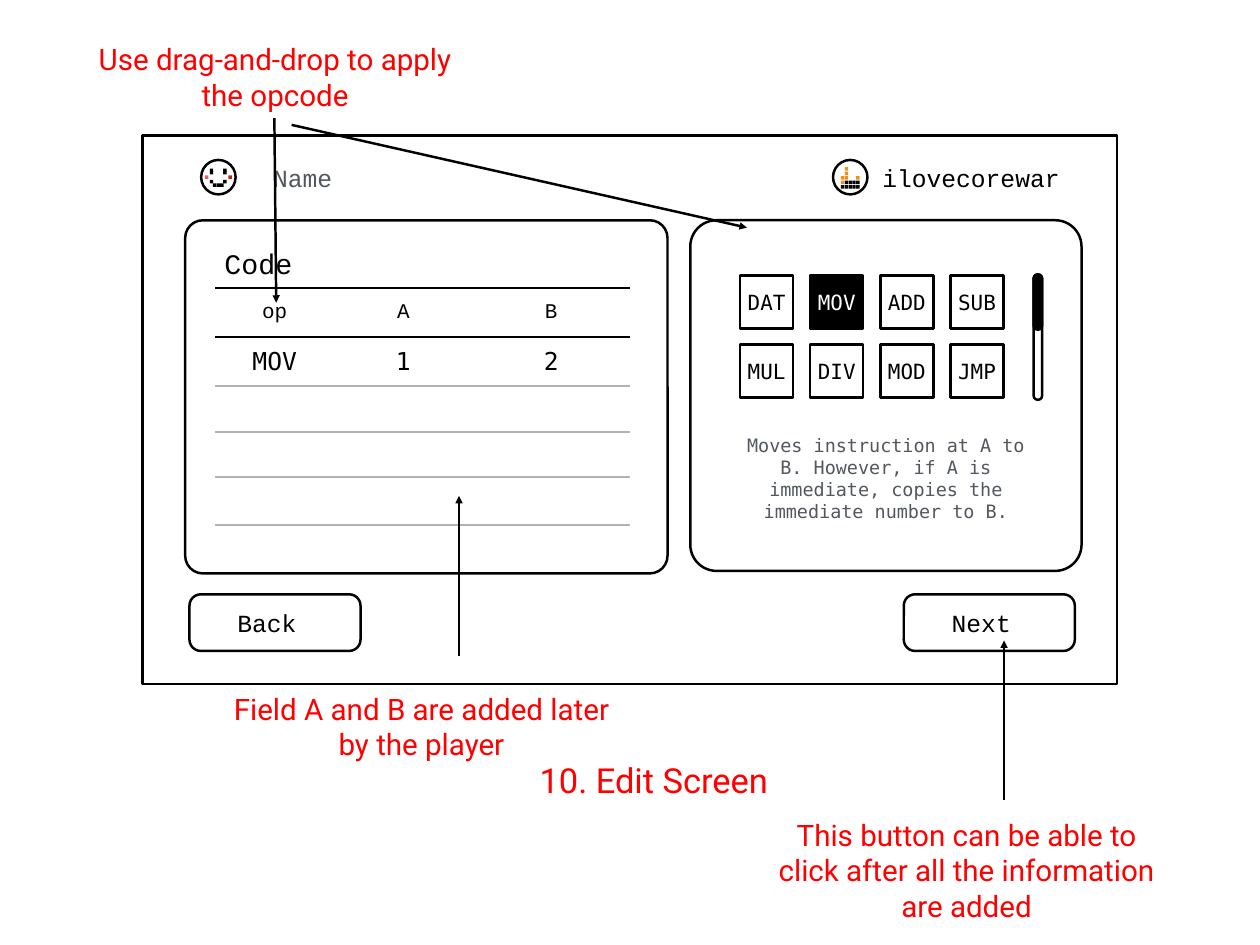
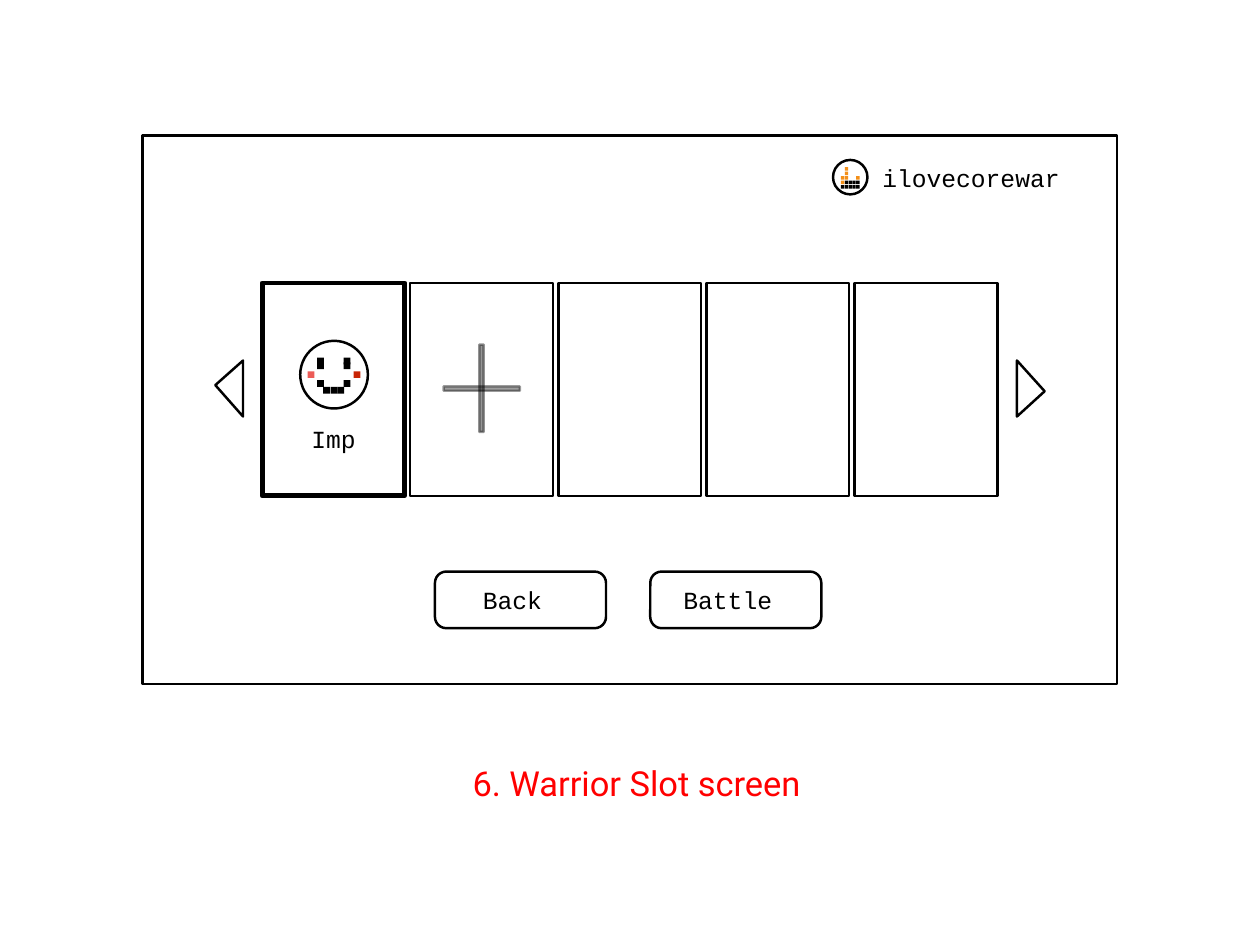
from lxml import etree
from pptx import Presentation
from pptx.dml.color import RGBColor
from pptx.enum.shapes import MSO_CONNECTOR, MSO_SHAPE
from pptx.enum.text import MSO_ANCHOR, MSO_AUTO_SIZE, PP_ALIGN
from pptx.oxml.ns import qn
from pptx.util import Pt

RECT, ROUND, OVAL = MSO_SHAPE.RECTANGLE, MSO_SHAPE.ROUNDED_RECTANGLE, MSO_SHAPE.OVAL
LEFT, CENTER = PP_ALIGN.LEFT, PP_ALIGN.CENTER
MIDDLE = MSO_ANCHOR.MIDDLE
STRAIGHT = MSO_CONNECTOR.STRAIGHT
NO_FIT = MSO_AUTO_SIZE.NONE


class Theme:
    black, white, grey, rule = "000000", "FFFFFF", "53585F", "B2B2B2"
    red, orange, cheek_left, cheek_right = "FF0000", "F38F18", "EC5C57", "C82506"
    note_font, ui_font, code_font = "Roboto", "Courier New", "DejaVu Sans Mono"
    title, note, heading, body, small, hint = 28, 24, 23, 20, 17, 15
    line, bold_line, inset = 2, 4, 4.5


def paint(sp, fill=None, width=Theme.line):
    """Give a shape its fill and black outline (no outline when width is 0)."""
    sp.shadow.inherit = False
    if fill:
        sp.fill.solid()
        sp.fill.fore_color.rgb = RGBColor.from_string(fill)
    else:
        sp.fill.background()
    if width:
        sp.line.color.rgb = RGBColor.from_string(Theme.black)
        sp.line.width = Pt(width)
    else:
        sp.line.fill.background()
    return sp


def write(sp, text, size, font=Theme.ui_font, color=Theme.black, align=CENTER,
          extra_right=0):
    """Put one run of text, vertically centred, in a shape or placeholder."""
    tf = sp.text_frame
    tf.word_wrap, tf.auto_size, tf.vertical_anchor = True, NO_FIT, MIDDLE
    tf.margin_left = tf.margin_top = tf.margin_bottom = Pt(Theme.inset)
    tf.margin_right = Pt(Theme.inset + extra_right)
    p = tf.paragraphs[0]
    p.alignment = align
    r = p.add_run()
    r.text = text
    r.font.size, r.font.name = Pt(size), font
    r.font.color.rgb = RGBColor.from_string(color)


prs = Presentation()
prs.slide_width, prs.slide_height = Pt(1024), Pt(768)
title_only = prs.slide_layouts[5]

# Shared parts: title, screen frame, user name and buttons
screens = [
    ("10. Edit Screen", (434, 613, 202, 42),
     [("Back", 154, 483), ("Next", 734.5, 483)]),
    ("6. Warrior Slot screen", (379.5, 615.5, 281, 42),
     [("Back", 353.5, 464.5), ("Battle", 528.5, 464.5)]),
]
for title, place, buttons in screens:
    s = prs.slides.add_slide(title_only)
    sp = s.shapes.title
    sp.left, sp.top, sp.width, sp.height = map(Pt, place)
    write(sp, title, Theme.title, Theme.note_font, Theme.red, LEFT)
    paint(s.shapes.add_shape(RECT, Pt(116), Pt(110), Pt(792), Pt(446)))
    write(s.shapes.add_textbox(Pt(712.5), Pt(130), Pt(182), Pt(28)),
          "ilovecorewar", Theme.body, align=LEFT)
    for text, x, y in buttons:
        sp = paint(s.shapes.add_shape(ROUND, Pt(x), Pt(y), Pt(139), Pt(46)))
        sp.adjustments[0] = 0.2
        write(sp, text, Theme.body, extra_right=13)
edit, slots = prs.slides

# Edit screen: panels and scroll bar
for x, y, w, h, radius, fill in [
    (150.5, 179, 392, 287, 0.05, None),
    (561, 179, 318, 285, 0.075, None),
    (840, 223, 7, 102, 0.5, None),
    (840, 223, 7, 45, 0.5, Theme.black),
]:
    sp = paint(edit.shapes.add_shape(ROUND, Pt(x), Pt(y), Pt(w), Pt(h)), fill)
    sp.adjustments[0] = radius

# Edit screen: code table, ruled across only
code = [("op", "A", "B"), ("MOV", "1", "2")]
col_widths, row_heights = (96.5, 112.5, 128), (40, 40, 37, 37, 39)
tbl = edit.shapes.add_table(len(row_heights), len(col_widths), Pt(175), Pt(234),
                            Pt(sum(col_widths)), Pt(sum(row_heights))).table
tbl.first_row = tbl.horz_banding = False
for c, width in enumerate(col_widths):
    tbl.columns[c].width = Pt(width)
for i, height in enumerate(row_heights):
    tbl.rows[i].height = Pt(height)
    top = Theme.black if i < 2 else Theme.rule
    bottom = Theme.black if i < 1 else Theme.rule
    for c in range(len(col_widths)):
        cell = tbl.cell(i, c)
        cell.fill.background()
        cell.vertical_anchor = MIDDLE
        if i < len(code):
            p = cell.text_frame.paragraphs[0]
            p.alignment = CENTER
            r = p.add_run()
            r.text = code[i][c]
            r.font.size = Pt(Theme.body if i else Theme.small)
            r.font.name = Theme.code_font if i else Theme.ui_font
            r.font.color.rgb = RGBColor.from_string(Theme.black)
        borders = [("a:lnL", None), ("a:lnR", None), ("a:lnT", top), ("a:lnB", bottom)]
        for n, (tag, color) in enumerate(borders):
            ln = etree.Element(qn(tag), w=str(Pt(Theme.line)))
            if color:
                fill = etree.SubElement(ln, qn("a:solidFill"))
                etree.SubElement(fill, qn("a:srgbClr"), val=color)
            else:
                etree.SubElement(ln, qn("a:noFill"))
            cell._tc.get_or_add_tcPr().insert(n, ln)

# Edit screen: opcode tiles, the chosen one inverted
opcodes = ["DAT", "MOV", "ADD", "SUB", "MUL", "DIV", "MOD", "JMP"]
for i, opcode in enumerate(opcodes):
    row, col = divmod(i, 4)
    chosen = opcode == "MOV"
    sp = paint(edit.shapes.add_shape(RECT, Pt(601.5 + 57 * col), Pt(224 + 56 * row),
                                     Pt(43), Pt(43)),
               Theme.black if chosen else None)
    write(sp, opcode, Theme.small, Theme.code_font,
          Theme.white if chosen else Theme.black)

# Labels and red notes
notes = (Theme.note, Theme.note_font, Theme.red)
for s, text, x, y, w, h, style in [
    (edit, "Code", 114, 192, 192, 43, (Theme.heading,)),
    (edit, "Name", 150, 122.5, 192, 43, (Theme.body, Theme.ui_font, Theme.grey)),
    (edit, "Moves instruction at A to B. However, if A is immediate, "
           "copies the immediate number to B.",
     593.5, 348.5, 253, 80, (Theme.hint, Theme.code_font, Theme.grey)),
    (edit, "Use drag-and-drop to apply the opcode", 64, 29.5, 319, 66, notes),
    (edit, "Field A and B are added later by the player", 183, 557, 319, 66, notes),
    (edit, "This button can be able to click after all the information are added",
     626, 659.5, 319, 95, notes),
]:
    write(s.shapes.add_textbox(Pt(x), Pt(y), Pt(w), Pt(h)), text, *style)

# Edit screen: arrows from the notes
for ends in [(223, 96, 224.5, 246), (237, 101.5, 607, 185),
             (373, 533, 373, 403), (816, 650, 816, 520.5)]:
    arrow = edit.shapes.add_connector(STRAIGHT, *map(Pt, ends))
    arrow.line.color.rgb = RGBColor.from_string(Theme.black)
    arrow.line.width = Pt(Theme.line)
    spPr = arrow._element.spPr
    etree.SubElement(spPr.find(qn("a:ln")), qn("a:tailEnd"), type="triangle")
    etree.SubElement(spPr, qn("a:effectLst"))

# Slot screen: five slots, the first one selected
for i in range(5):
    paint(slots.shapes.add_shape(RECT, Pt(213 + 120.4 * i), Pt(230), Pt(116), Pt(173)),
          Theme.white, Theme.line if i else Theme.bold_line)
write(slots.shapes.add_textbox(Pt(175), Pt(335), Pt(192), Pt(43)), "Imp", Theme.body)

# Slot screen: translucent plus sign
for x, y, w, h, opacity in [(360.5, 314, 62, 3.6, 38), (389.5, 280, 3.6, 71, 41)]:
    sp = paint(slots.shapes.add_shape(RECT, Pt(x), Pt(y), Pt(w), Pt(h)), Theme.black)
    for clr in sp._element.spPr.iter(qn("a:srgbClr")):
        etree.SubElement(clr, qn("a:alpha"), val=str(opacity * 1000))

# Slot screen: previous and next triangles
for start, *others in [
    [(197.5, 338.5), (175, 313), (197.5, 293)],
    [(826.5, 293), (849, 318), (826.5, 338.5)],
]:
    outline = slots.shapes.build_freeform(*map(Pt, start))
    outline.add_line_segments([(Pt(x), Pt(y)) for x, y in others], close=True)
    paint(outline.convert_to_shape(), Theme.white)

# Avatars: pixel positions are fractions of the circle's diameter
face = [(x, y, Theme.black) for x in (0.25, 0.64) for y in (0.25, 0.32, 0.58)]
face += [(x, 0.68, Theme.black) for x in (0.34, 0.45, 0.55)]
face += [(0.11, 0.45, Theme.cheek_left), (0.79, 0.45, Theme.cheek_right)]
inks = {"o": Theme.orange, "x": Theme.black}
boat_rows = [".o...", ".o...", "oo..o", "oxxxx", "xxxxx"]
boat = [(0.23 + 0.11 * c, 0.21 + 0.13 * i, inks[mark])
        for i, row in enumerate(boat_rows)
        for c, mark in enumerate(row) if mark in inks]
for s, left, top, size, pixels in [
    (edit, 677, 130, 28, boat),
    (edit, 163.5, 130, 28, face),
    (slots, 677, 130, 28, boat),
    (slots, 244, 277, 55, face),
]:
    paint(s.shapes.add_shape(OVAL, Pt(left), Pt(top), Pt(size), Pt(size)), Theme.white)
    dot = Pt(0.1 * size)
    for x, y, color in pixels:
        paint(s.shapes.add_shape(RECT, Pt(left + x * size), Pt(top + y * size), dot, dot),
              color, 0)

prs.save("out.pptx")
